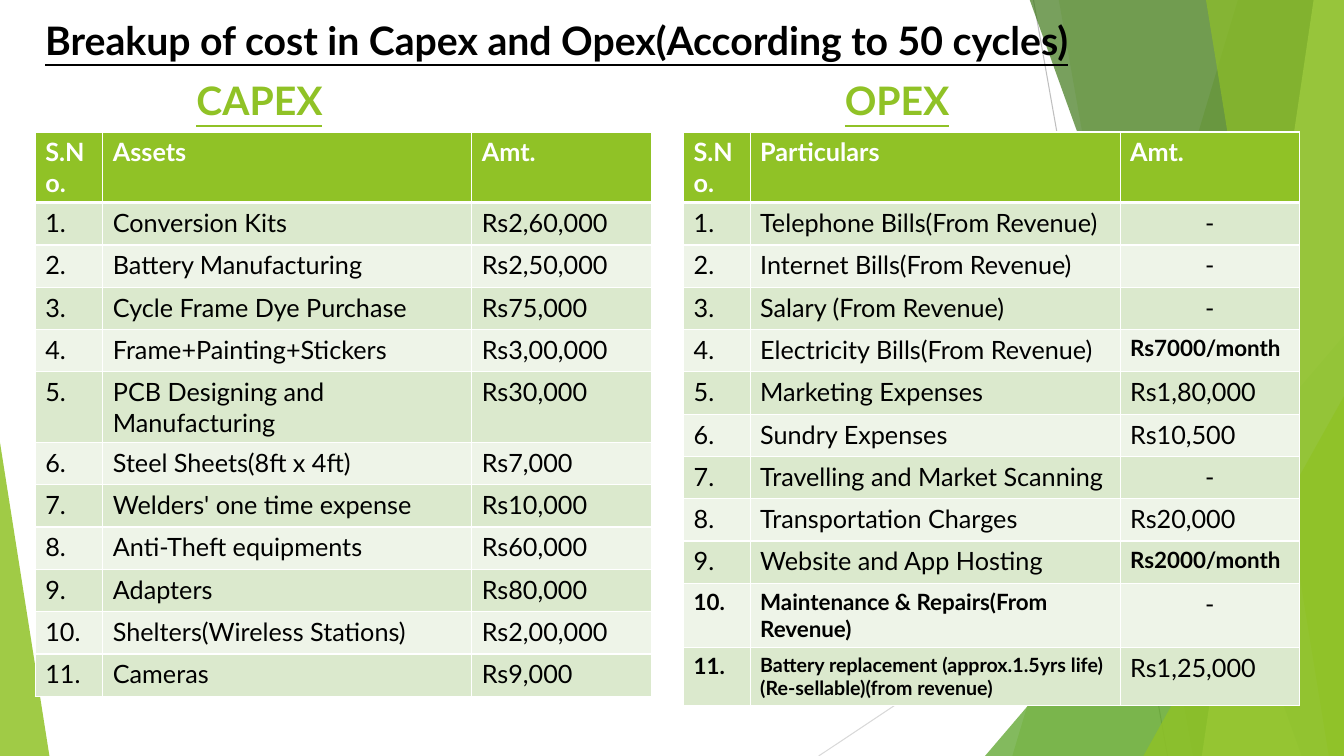
from lxml import etree
from pptx import Presentation
from pptx.dml.color import RGBColor
from pptx.enum import shapes, text
from pptx.oxml import ns
from pptx.util import Pt

PX = 9144
WIDTH, HEIGHT = 1333, 750
FONT = "Lato"
BLACK = RGBColor(0x00, 0x00, 0x00)
WHITE = RGBColor(0xFF, 0xFF, 0xFF)
LIME = RGBColor(0x90, 0xC2, 0x26)
PALE_LIME = RGBColor(0xC0, 0xE4, 0x74)
GREEN = RGBColor(0x54, 0xA0, 0x21)
DARK_GREEN = RGBColor(0x3F, 0x78, 0x19)
SILVER = RGBColor(0xBF, 0xBF, 0xBF)
LIGHT_SILVER = RGBColor(0xD9, 0xD9, 0xD9)
ODD_ROW = RGBColor(0xDB, 0xE9, 0xCD)
EVEN_ROW = RGBColor(0xEE, 0xF4, 0xE8)

CAPEX = [
    ("Conversion Kits", "Rs2,60,000"),
    ("Battery Manufacturing", "Rs2,50,000"),
    ("Cycle Frame Dye Purchase", "Rs75,000"),
    ("Frame+Painting+Stickers", "Rs3,00,000"),
    ("PCB Designing and Manufacturing", "Rs30,000"),
    ("Steel Sheets(8ft x 4ft)", "Rs7,000"),
    ("Welders' one time expense", "Rs10,000"),
    ("Anti-Theft equipments", "Rs60,000"),
    ("Adapters", "Rs80,000"),
    ("Shelters(Wireless Stations)", "Rs2,00,000"),
    ("Cameras", "Rs9,000"),
]
OPEX = [
    ("Telephone Bills(From Revenue)", "-"),
    ("Internet Bills(From Revenue)", "-"),
    ("Salary (From Revenue)", "-"),
    ("Electricity Bills(From Revenue)", "Rs7000/month"),
    ("Marketing Expenses", "Rs1,80,000"),
    ("Sundry Expenses", "Rs10,500"),
    ("Travelling and Market Scanning", "-"),
    ("Transportation Charges", "Rs20,000"),
    ("Website and App Hosting", "Rs2000/month"),
    ("Maintenance & Repairs(From Revenue)", "-"),
    ("Battery replacement (approx.1.5yrs life)(Re-sellable)(from revenue)",
     "Rs1,25,000"),
]
OPEX_SMALL = {(4, 2): 16, (9, 2): 16, (10, 0): 16, (10, 1): 16,
              (11, 0): 16, (11, 1): 14}


def add_text(p, words, size=18, color=BLACK, bold=False, underline=None):
    r = p.add_run()
    r.text = words
    r.font.name = FONT
    r.font.size = Pt(size)
    r.font.bold = bold
    r.font.underline = underline
    r.font.color.rgb = color


def paint(sp, color, opacity):
    sp.shadow.inherit = False
    sp.line.fill.background()
    sp.fill.solid()
    sp.fill.fore_color.rgb = color
    clr = sp.fill._xPr.find(ns.qn("a:solidFill"))[0]
    etree.SubElement(clr, ns.qn("a:alpha")).set("val", str(opacity * 1000))


def add_line(s, start, end, color):
    line = s.shapes.add_connector(shapes.MSO_CONNECTOR.STRAIGHT,
                                  *(v * PX for v in start + end))
    line.line.color.rgb = color
    line.line.width = Pt(0.75)
    etree.SubElement(line._element.spPr, ns.qn("a:effectLst"))


def add_band(s, top_left, top_right, bottom_left, color, opacity):
    top = -1
    builder = s.shapes.build_freeform(top_left, top, scale=PX)
    builder.add_line_segments([(top_right, top), (top_right, HEIGHT),
                               (bottom_left, HEIGHT)], close=True)
    paint(builder.convert_to_shape(), color, opacity)


def add_triangle(s, x, y, w, apex, color, opacity):
    sp = s.shapes.add_shape(shapes.MSO_SHAPE.ISOSCELES_TRIANGLE, x * PX,
                            y * PX, w * PX, (HEIGHT - y) * PX)
    sp.adjustments[0] = apex
    paint(sp, color, opacity)


def add_backdrop(s, right):
    add_line(s, (right - 308, 0), (right - 175, HEIGHT), SILVER)
    add_line(s, (right, 403), (right - 521, HEIGHT), LIGHT_SILVER)
    add_band(s, right - 105, right, right - 329, LIME, 30)
    add_band(s, right - 283, right, right - 150, LIME, 20)
    add_triangle(s, right - 356, 333, 356, 1, GREEN, 72)
    add_band(s, right - 312, right, right - 42, DARK_GREEN, 70)
    add_band(s, right - 30, right, right - 141, PALE_LIME, 70)
    add_band(s, right - 137, right, right - 15, LIME, 65)
    add_triangle(s, right - 199, 393, 199, 1, LIME, 80)
    add_triangle(s, 0, 439, 49, 0, LIME, 85)


def add_heading(s, x, y, w, words, color):
    box = s.shapes.add_textbox(x * PX, y * PX, w * PX, 57 * PX)
    tf = box.text_frame
    tf.word_wrap = True
    add_text(tf.paragraphs[0], words, size=28, color=color, bold=True,
             underline=True)


def set_borders(cell, top, bottom):
    tcPr = cell._tc.get_or_add_tcPr()
    widths = {"lnL": 1, "lnR": 1, "lnT": top, "lnB": bottom}
    for i, (side, width) in enumerate(widths.items()):
        ln = etree.Element(ns.qn("a:" + side), w=str(Pt(width)))
        fill = etree.SubElement(ln, ns.qn("a:solidFill"))
        etree.SubElement(fill, ns.qn("a:srgbClr")).set("val", str(WHITE))
        tcPr.insert(i, ln)


def add_cost_table(s, x, y, label, items, columns, heights, small):
    rows = [("S.No.", label, "Amt.")]
    rows += [(f"{n}.", *item) for n, item in enumerate(items, 1)]
    row_heights = [heights.get(n, 42) for n in range(len(rows))]
    table = s.shapes.add_table(len(rows), len(columns), x * PX, y * PX,
                               sum(columns) * PX,
                               sum(row_heights) * PX).table
    for column, width in zip(table.columns, columns):
        column.width = width * PX
    for n, row in enumerate(rows):
        table.rows[n].height = row_heights[n] * PX
        header = n == 0
        for c, words in enumerate(row):
            cell = table.cell(n, c)
            cell.fill.solid()
            cell.fill.fore_color.rgb = (
                LIME if header else ODD_ROW if n % 2 else EVEN_ROW)
            set_borders(cell, 3 if n == 1 else 1, 3 if header else 1)
            p = cell.text_frame.paragraphs[0]
            if words == "-":
                p.alignment = text.PP_ALIGN.CENTER
            add_text(p, words, size=small.get((n, c), 18),
                     color=WHITE if header else BLACK,
                     bold=header or (n, c) in small)


def add_cost_slide(prs):
    s = prs.slides.add_slide(prs.slide_layouts[6])
    add_backdrop(s, WIDTH)
    add_heading(s, 35, 11, 1099,
                "Breakup of cost in Capex and Opex(According to 50 cycles)",
                BLACK)
    add_heading(s, 185, 71, 378, "CAPEX", LIME)
    add_heading(s, 828, 71, 378, "OPEX", LIME)
    add_cost_table(s, 35, 131, "Assets", CAPEX, (67, 366, 178),
                   {0: 70, 5: 70}, {})
    add_cost_table(s, 678, 131, "Particulars", OPEX, (66, 367, 178),
                   {0: 70, 10: 64, 11: 57}, OPEX_SMALL)


def main():
    prs = Presentation()
    prs.slide_width = WIDTH * PX
    prs.slide_height = HEIGHT * PX
    add_cost_slide(prs)
    prs.save("out.pptx")


if __name__ == "__main__":
    main()
